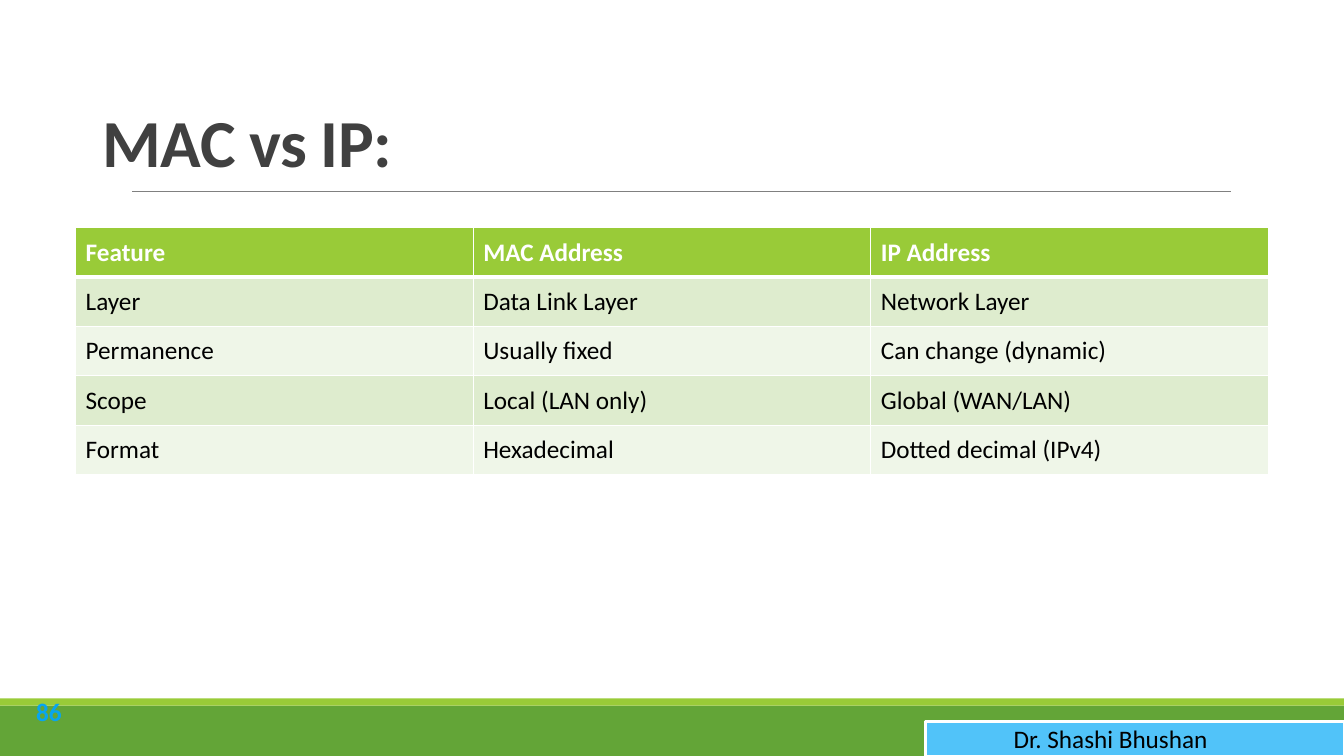
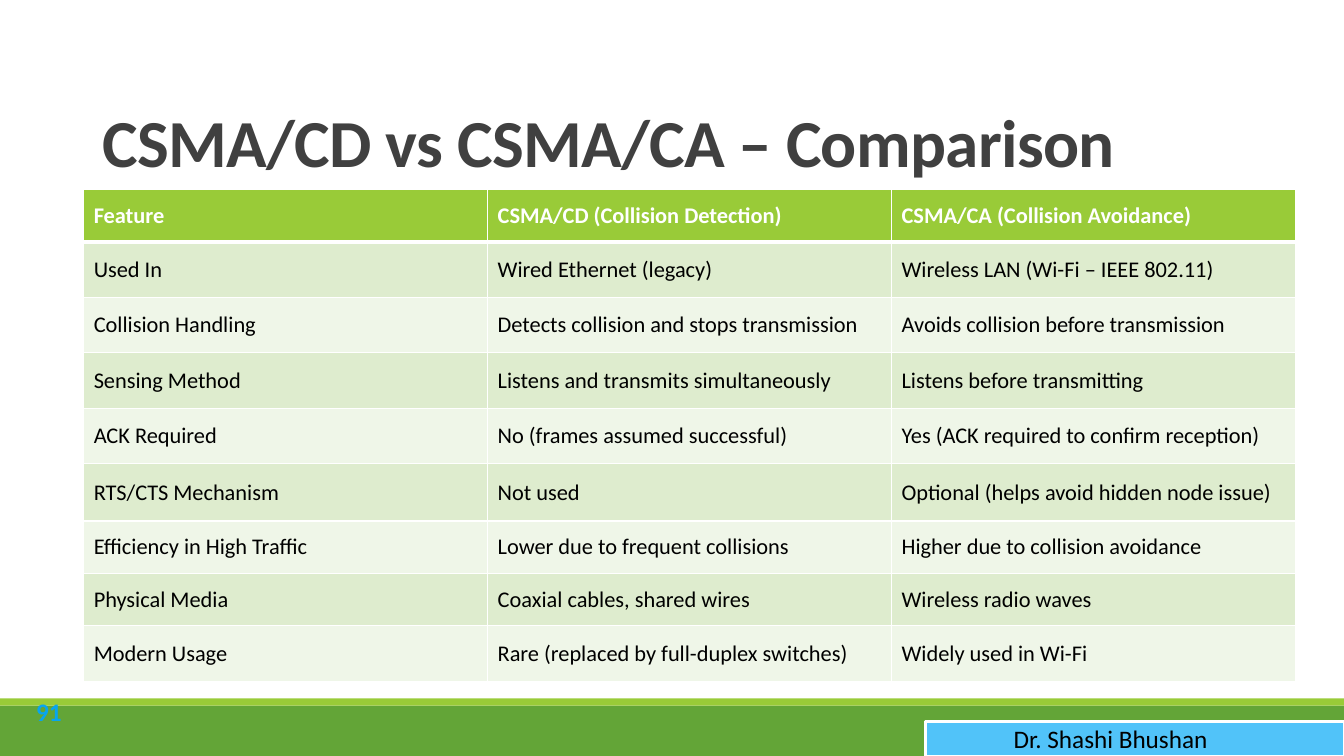
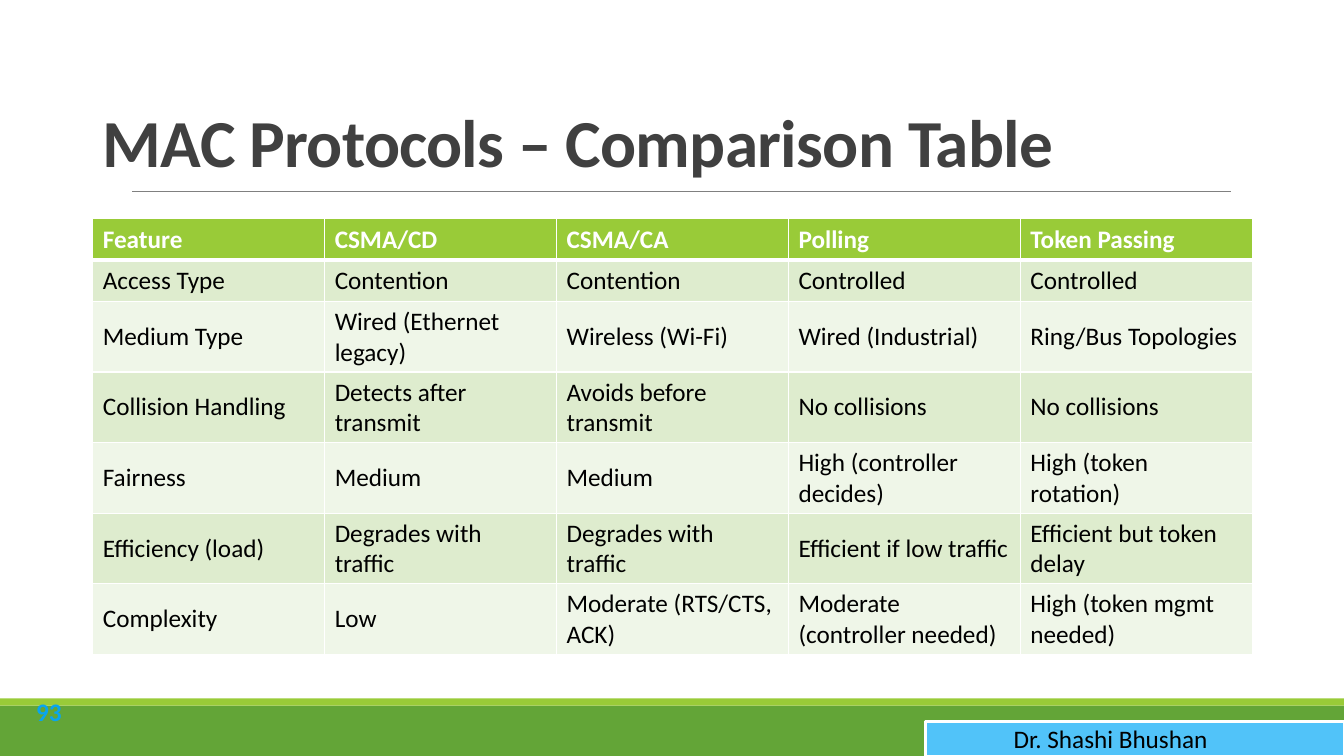
from lxml.etree import SubElement
from pptx import Presentation
from pptx.dml.color import RGBColor
from pptx.enum.shapes import MSO_CONNECTOR, MSO_SHAPE
from pptx.enum.text import MSO_ANCHOR, MSO_AUTO_SIZE, PP_ALIGN
from pptx.oxml.ns import qn
from pptx.util import Inches, Pt

FONT = "Calibri"
WHITE = "FFFFFF"
BLACK = "000000"
GREEN = "63A537"
LIME = "99CB38"
GRAY = "808080"
DARK_GRAY = "404040"
SKY = "51C3F9"
BLUE = "08A5EF"
ROW_FILLS = ("EFF6E8", "DEECCE")

SLIDE_WIDTH = 13.33
RULE_TOP = 1.9
TITLE_ONLY = 5

MAC_IP = [
    ("Feature", "MAC Address", "IP Address"),
    ("Layer", "Data Link Layer", "Network Layer"),
    ("Permanence", "Usually fixed", "Can change (dynamic)"),
    ("Scope", "Local (LAN only)", "Global (WAN/LAN)"),
    ("Format", "Hexadecimal", "Dotted decimal (IPv4)"),
]
CSMA = [
    ("Feature", "CSMA/CD (Collision Detection)", "CSMA/CA (Collision Avoidance)"),
    ("Used In", "Wired Ethernet (legacy)", "Wireless LAN (Wi-Fi – IEEE 802.11)"),
    ("Collision Handling", "Detects collision and stops transmission",
     "Avoids collision before transmission"),
    ("Sensing Method", "Listens and transmits simultaneously", "Listens before transmitting"),
    ("ACK Required", "No (frames assumed successful)",
     "Yes (ACK required to confirm reception)"),
    ("RTS/CTS Mechanism", "Not used", "Optional (helps avoid hidden node issue)"),
    ("Efficiency in High Traffic", "Lower due to frequent collisions",
     "Higher due to collision avoidance"),
    ("Physical Media", "Coaxial cables, shared wires", "Wireless radio waves"),
    ("Modern Usage", "Rare (replaced by full-duplex switches)", "Widely used in Wi-Fi"),
]
PROTOCOLS = [
    ("Feature", "CSMA/CD", "CSMA/CA", "Polling", "Token Passing"),
    ("Access Type", "Contention", "Contention", "Controlled", "Controlled"),
    ("Medium Type", "Wired (Ethernet legacy)", "Wireless (Wi-Fi)",
     "Wired (Industrial)", "Ring/Bus Topologies"),
    ("Collision Handling", "Detects after transmit", "Avoids before transmit",
     "No collisions", "No collisions"),
    ("Fairness", "Medium", "Medium", "High (controller decides)", "High (token rotation)"),
    ("Efficiency (load)", "Degrades with traffic", "Degrades with traffic",
     "Efficient if low traffic", "Efficient but token delay"),
    ("Complexity", "Low", "Moderate (RTS/CTS, ACK)",
     "Moderate (controller needed)", "High (token mgmt needed)"),
]


def color(value):
    return RGBColor.from_string(value)


def write(frame, text, size=18, fill=BLACK, bold=False, align=PP_ALIGN.LEFT,
          spacing=None, tracking=None):
    para = frame.paragraphs[0]
    para.alignment = align
    para.line_spacing = spacing
    span = para.add_run()
    span.text = text
    span.font.name = FONT
    span.font.size = Pt(size)
    span.font.bold = bold
    span.font.color.rgb = color(fill)
    if tracking is not None:
        span.font._element.set("spc", str(round(tracking * 100)))


def add_title(page, text):
    title = page.shapes.title
    title.left, title.top = Inches(0.92), Inches(0.4)
    title.width, title.height = Inches(10.77), Inches(1.45)
    frame = title.text_frame
    frame.word_wrap = True
    frame.auto_size = MSO_AUTO_SIZE.NONE
    frame.vertical_anchor = MSO_ANCHOR.BOTTOM
    write(frame, text, size=48, fill=DARK_GRAY, bold=True, spacing=0.85, tracking=-0.5)


def add_band(page, left, top, width, height, fill, outline=None):
    band = page.shapes.add_shape(MSO_SHAPE.RECTANGLE, Inches(left), Inches(top),
                                 Inches(width), Inches(height))
    band.shadow.inherit = False
    band.fill.solid()
    band.fill.fore_color.rgb = color(fill)
    if outline:
        band.line.color.rgb = color(outline)
        band.line.width = Pt(2)
    else:
        band.line.fill.background()


def add_rule(page):
    rule = page.shapes.add_connector(MSO_CONNECTOR.STRAIGHT, Inches(1.31), Inches(RULE_TOP),
                                     Inches(12.21), Inches(RULE_TOP))
    rule.line.color.rgb = color(GRAY)
    rule.line.width = Pt(0.5)
    SubElement(rule._element.spPr, qn("a:effectLst"))


def add_label(page, left, top, width, height, text, anchor=MSO_ANCHOR.TOP, **style):
    box = page.shapes.add_textbox(Inches(left), Inches(top), Inches(width), Inches(height))
    frame = box.text_frame
    frame.word_wrap = True
    frame.vertical_anchor = anchor
    write(frame, text, align=PP_ALIGN.CENTER, **style)


def add_borders(cell, top, bottom):
    properties = cell._tc.get_or_add_tcPr()
    for side, width in (("L", 1), ("R", 1), ("T", top), ("B", bottom)):
        line = SubElement(properties, qn(f"a:ln{side}"), w=str(Pt(width)))
        fill = SubElement(line, qn("a:solidFill"))
        SubElement(fill, qn("a:srgbClr"), val=WHITE)


def add_grid(page, left, top, width, heights, rows, size):
    table = page.shapes.add_table(len(rows), len(rows[0]), Inches(left), Inches(top),
                                  Inches(width), Inches(sum(heights))).table
    table.horz_banding = False
    for column in table.columns:
        column.width = Inches(width / len(rows[0]))
    for index, (height, texts) in enumerate(zip(heights, rows)):
        header = index == 0
        table.rows[index].height = Inches(height)
        for cell, text in zip(table.rows[index].cells, texts):
            add_borders(cell, top=3 if index == 1 else 1, bottom=3 if header else 1)
            cell.fill.solid()
            cell.fill.fore_color.rgb = color(LIME if header else ROW_FILLS[index % 2])
            cell.vertical_anchor = MSO_ANCHOR.MIDDLE
            write(cell.text_frame, text, size=size, bold=header,
                  fill=WHITE if header else BLACK)


def add_page(deck, title, number, rows, left, top, width, heights, size=18):
    page = deck.slides.add_slide(deck.slide_layouts[TITLE_ONLY])
    add_title(page, title)
    add_band(page, 0, 7, SLIDE_WIDTH, 0.5, GREEN)
    add_band(page, 0, 6.93, SLIDE_WIDTH, 0.07, LIME)
    if top > RULE_TOP:
        add_rule(page)
    add_band(page, 9.18, 7.16, 4.15, 0.34, SKY, outline=WHITE)
    add_label(page, 9.18, 7.13, 3.67, 0.4, "Dr. Shashi Bhushan")
    add_label(page, 0.21, 6.8, 0.55, 0.51, str(number), anchor=MSO_ANCHOR.MIDDLE,
              fill=BLUE, bold=True)
    add_grid(page, left, top, width, heights, rows, size)


def main():
    deck = Presentation()
    deck.slide_width = Inches(SLIDE_WIDTH)
    deck.slide_height = Inches(7.5)
    add_page(deck, "MAC vs IP:", 86, MAC_IP, 0.75, 2.26, 11.83, [0.49] * 5)
    add_page(deck, "CSMA/CD vs CSMA/CA – Comparison", 91, CSMA, 0.83, 1.88, 12.02,
             [0.52] + [0.55] * 4 + [0.57, 0.52, 0.52, 0.55], size=16)
    add_page(deck, "MAC Protocols – Comparison Table", 93, PROTOCOLS, 0.92, 2.17, 11.5,
             [0.41] * 2 + [0.7] * 5)
    deck.save("out.pptx")


if __name__ == "__main__":
    main()
